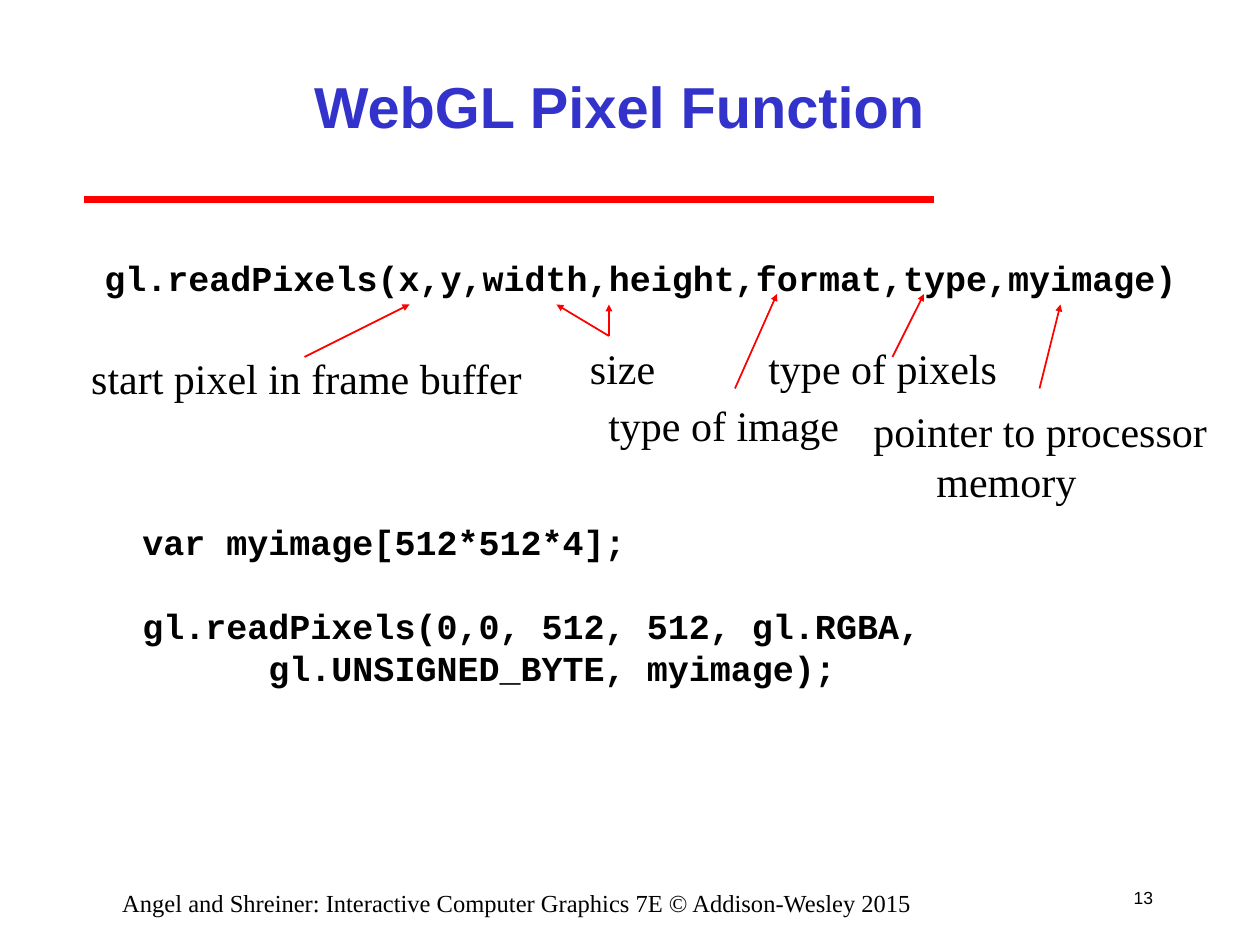
from lxml import etree
from pptx import Presentation
from pptx.dml.color import RGBColor
from pptx.enum.shapes import MSO_CONNECTOR
from pptx.enum.text import MSO_ANCHOR, PP_ALIGN
from pptx.oxml.ns import qn
from pptx.util import Pt

PX = 9525
STRAIGHT = MSO_CONNECTOR.STRAIGHT
TOP, MIDDLE = MSO_ANCHOR.TOP, MSO_ANCHOR.MIDDLE
LEFT, CENTER, RIGHT = PP_ALIGN.LEFT, PP_ALIGN.CENTER, PP_ALIGN.RIGHT
COLORS = {"title": "3333CC", "line": "FF0000", "text": "000000"}

SIGNATURE = "gl.readPixels(x,y,width,height,format,type,myimage)"
EXAMPLE = [
    "var myimage[512*512*4];",
    "gl.readPixels(0,0, 512, 512, gl.RGBA,",
    "      gl.UNSIGNED_BYTE, myimage);",
]
LABELS = [
    (["start pixel in frame buffer"], (60, 264, 352, 48)),
    (["size"], (440, 256, 73, 48)),
    (["type of image"], (454, 300, 199, 48)),
    (["type of pixels"], (576, 256, 200, 48)),
    (["pointer to processor", "memory"], (656, 304, 285, 86)),
]
ARROWS = [
    ((232, 272), (312, 232)),
    ((464, 256), (464, 232)),
    ((464, 256), (424, 232)),
    ((560, 296), (592, 224)),
    ((680, 272), (704, 224)),
    ((792, 296), (808, 232)),
]


def add_text(slide, lines, box, font, size, color="text", bold=False,
             align=LEFT, anchor=TOP, spacing=None, wrap=False):
    shape = slide.shapes.add_textbox(*(value * PX for value in box))
    frame = shape.text_frame
    frame.word_wrap = wrap
    frame.vertical_anchor = anchor
    frame.text = "\n".join(lines)
    for paragraph in frame.paragraphs:
        paragraph.alignment = align
        if spacing:
            paragraph.line_spacing = Pt(spacing)
        paragraph.font.name = font
        paragraph.font.size = Pt(size)
        paragraph.font.bold = bold
        paragraph.font.color.rgb = RGBColor.from_string(COLORS[color])
    return frame.paragraphs


def add_code(slide, lines, box):
    return add_text(slide, lines, box, "Courier New", 20, bold=True, spacing=24)


def add_label(slide, lines, box):
    paragraphs = add_text(slide, lines, box, "Times New Roman", 24, spacing=28.8)
    for paragraph in paragraphs[1:]:
        paragraph._p.get_or_add_pPr().set("marL", str(48 * PX))


def add_line(slide, start, end, width, arrow=False):
    points = (value * PX for value in start + end)
    connector = slide.shapes.add_connector(STRAIGHT, *points)
    connector.line.color.rgb = RGBColor.from_string(COLORS["line"])
    connector.line.width = Pt(width)
    if arrow:
        outline = connector.line._get_or_add_ln()
        etree.SubElement(outline, qn("a:tailEnd"), type="triangle", w="sm", len="sm")
    etree.SubElement(connector._element.spPr, qn("a:effectLst"))


def main():
    presentation = Presentation()
    presentation.slide_width = 960 * PX
    presentation.slide_height = 720 * PX
    slide = presentation.slides.add_slide(presentation.slide_layouts[6])

    add_line(slide, (64, 152), (712, 152), 4)
    add_text(slide, ["13"], (848, 664, 40, 40), "Arial", 10,
             align=RIGHT, anchor=MIDDLE)
    add_text(slide, ["WebGL Pixel Function"], (144, 24, 656, 112), "Arial", 33,
             color="title", bold=True, align=CENTER, anchor=MIDDLE, wrap=True)

    add_code(slide, [SIGNATURE], (70, 191, 841, 42))
    for start, end in ARROWS:
        add_line(slide, start, end, 1, arrow=True)
    for lines, box in LABELS:
        add_label(slide, lines, box)

    example = add_code(slide, EXAMPLE, (99, 392, 628, 138))
    example[1].space_before = Pt(24)

    footer = "Angel and Shreiner: Interactive Computer Graphics 7E © Addison-Wesley 2015"
    add_text(slide, [footer], (46, 672, 696, 24), "Times New Roman", 14,
             align=CENTER, wrap=True)

    presentation.save("out.pptx")


if __name__ == "__main__":
    main()
